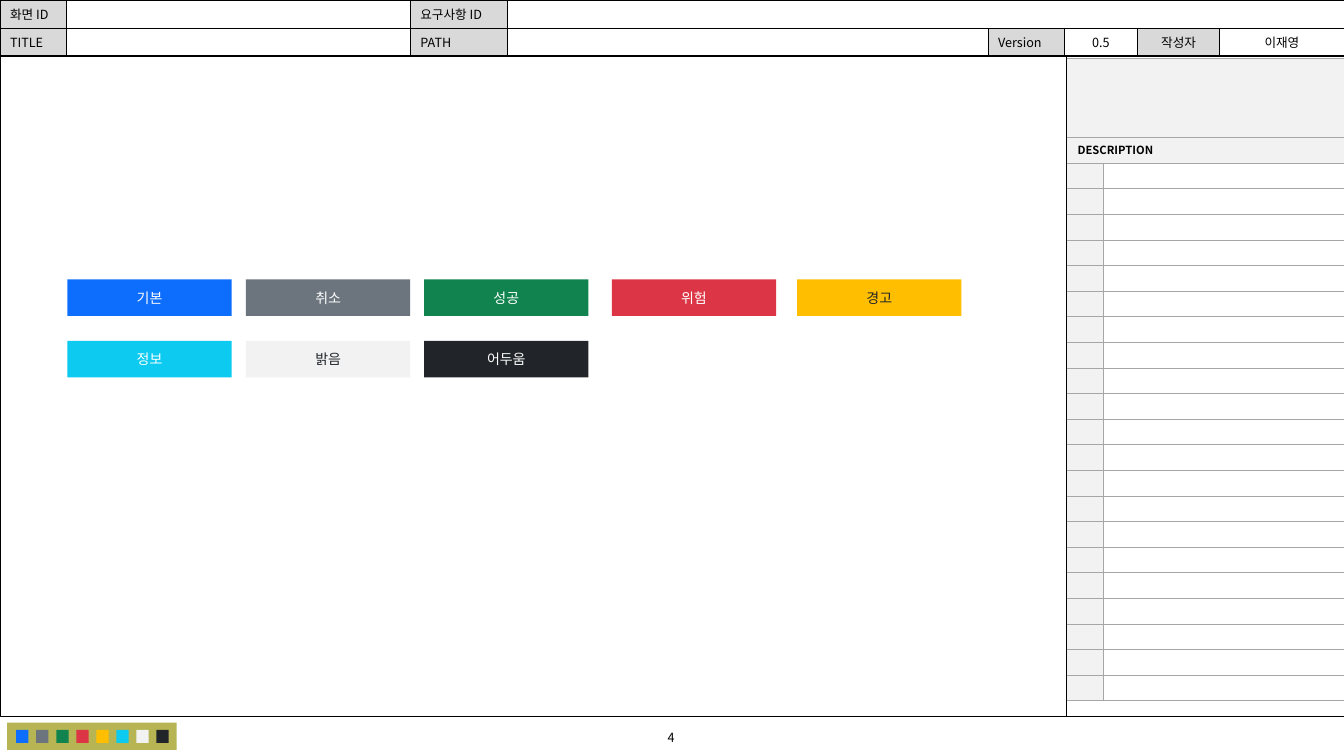
from dataclasses import dataclass
from typing import Optional

from lxml import etree
from pptx import Presentation
from pptx.dml.color import RGBColor
from pptx.enum import shapes, text
from pptx.oxml import ns
from pptx.util import Cm, Pt

FONT = "Noto Sans CJK KR"
BLACK = RGBColor(0x00, 0x00, 0x00)
WHITE = RGBColor(0xFF, 0xFF, 0xFF)
LABEL_GRAY = RGBColor(0xD9, 0xD9, 0xD9)
RULE_GRAY = RGBColor(0xA6, 0xA6, 0xA6)
LIGHT = RGBColor(0xF2, 0xF2, 0xF2)
DARK = RGBColor(0x21, 0x25, 0x29)
BLUE = RGBColor(0x0D, 0x6E, 0xFD)
SLATE = RGBColor(0x6C, 0x75, 0x7D)
GREEN = RGBColor(0x10, 0x83, 0x4E)
RED = RGBColor(0xDC, 0x35, 0x45)
AMBER = RGBColor(0xFF, 0xBE, 0x00)
CYAN = RGBColor(0x0D, 0xCA, 0xF0)
OLIVE = RGBColor(0xB7, 0xB5, 0x53)

PAGE_WIDTH, PAGE_HEIGHT = 33.87, 19.05
FRAME_TOP, FRAME_BOTTOM = 1.4, 18.06
DIVIDER_LEFT = 26.87


@dataclass(frozen=True)
class Button:
    label: str
    fill: RGBColor
    color: RGBColor = WHITE


@dataclass(frozen=True)
class HeaderCell:
    label: str
    shaded: bool = False
    centered: bool = False


BUTTONS = [
    Button("기본", BLUE), Button("취소", SLATE), Button("성공", GREEN),
    Button("위험", RED), Button("경고", AMBER, DARK), Button("정보", CYAN),
    Button("밝음", LIGHT, DARK), Button("어두움", DARK),
]
BUTTON_LEFTS = [1.7, 6.2, 10.69, 15.42, 20.09]

HEADER_WIDTHS = [1.68, 8.66, 2.44, 12.12, 1.93, 1.83, 2.08, 3.13]
HEADER_ROWS = [
    [HeaderCell("화면 ID", True), HeaderCell(""), HeaderCell("요구사항 ID", True)]
    + [HeaderCell("")] * 5,
    [HeaderCell("TITLE", True), HeaderCell(""), HeaderCell("PATH", True), HeaderCell(""),
     HeaderCell("Version", True), HeaderCell("0.5", centered=True),
     HeaderCell("작성자", True, True), HeaderCell("이재영", centered=True)],
]

DESCRIPTION_ITEMS = 21


def write(frame, content: str, *, size: float, color: RGBColor = BLACK,
          bold: bool = False, centered: bool = False) -> None:
    """Fill a text frame; an empty one only gets its line height."""
    para = frame.paragraphs[0]
    if centered:
        para.alignment = text.PP_ALIGN.CENTER
    if not content:
        end = etree.SubElement(para._p, ns.qn("a:endParaRPr"))
        end.set("sz", str(int(size * 100)))
        return
    span = para.add_run()
    span.text = content
    font = span.font
    font.name, font.size, font.bold = FONT, Pt(size), bold
    font.color.rgb = color
    etree.SubElement(span._r.get_or_add_rPr(), ns.qn("a:ea")).set("typeface", FONT)


def add_rect(page, left: float, top: float, width: float, height: float,
             fill: Optional[RGBColor] = None, line: Optional[RGBColor] = None):
    box = page.shapes.add_shape(shapes.MSO_SHAPE.RECTANGLE,
                                Cm(left), Cm(top), Cm(width), Cm(height))
    box.shadow.inherit = False
    if fill is None:
        box.fill.background()
    else:
        box.fill.solid()
        box.fill.fore_color.rgb = fill
    if line is None:
        box.line.fill.background()
    else:
        box.line.color.rgb = line
        box.line.width = Pt(0.25)
    return box


def format_cell(cell, fill: RGBColor, rule: RGBColor, sides: str) -> None:
    """Rule the named sides (from L, R, T, B), clear the others and fill the cell."""
    properties = cell._tc.get_or_add_tcPr()
    for side in "LRTB":
        border = etree.SubElement(properties, ns.qn(f"a:ln{side}"), w=str(int(Pt(0.5))))
        if side in sides:
            paint = etree.SubElement(border, ns.qn("a:solidFill"))
            etree.SubElement(paint, ns.qn("a:srgbClr"), val=str(rule))
        else:
            etree.SubElement(border, ns.qn("a:noFill"))
    cell.fill.solid()
    cell.fill.fore_color.rgb = fill
    cell.vertical_anchor = text.MSO_ANCHOR.MIDDLE
    cell.margin_top = cell.margin_bottom = 0


def add_grid(page, left: float, top: float, widths: list[float], heights: list[float]):
    grid = page.shapes.add_table(len(heights), len(widths), Cm(left), Cm(top),
                                 Cm(sum(widths)), Cm(sum(heights))).table
    grid.first_row = grid.horz_banding = False
    for column, width in zip(grid.columns, widths):
        column.width = Cm(width)
    for row, height in zip(grid.rows, heights):
        row.height = Cm(height)
    return grid


def add_header(page) -> None:
    grid = add_grid(page, 0, 0, HEADER_WIDTHS, [0.71, 0.71])
    for r, row in enumerate(HEADER_ROWS):
        for c, item in enumerate(row):
            cell = grid.cell(r, c)
            format_cell(cell, LABEL_GRAY if item.shaded else WHITE, BLACK, "LRTB")
            write(cell.text_frame, item.label, size=9, centered=item.centered)
    grid.cell(0, 3).merge(grid.cell(0, 7))


def add_frame(page) -> None:
    add_rect(page, 0, FRAME_TOP, PAGE_WIDTH, FRAME_BOTTOM - FRAME_TOP, line=BLACK)
    divider = page.shapes.add_connector(shapes.MSO_CONNECTOR.STRAIGHT, Cm(DIVIDER_LEFT),
                                        Cm(FRAME_TOP), Cm(DIVIDER_LEFT), Cm(FRAME_BOTTOM))
    divider.line.color.rgb = BLACK
    divider.line.width = Pt(0.5)
    etree.SubElement(divider._element.spPr, ns.qn("a:effectLst"))


def add_page_number(page) -> None:
    box = page.shapes.add_textbox(Cm(13.64), Cm(18.26), Cm(6.55), Cm(0.64))
    box.text_frame.word_wrap = True
    write(box.text_frame, "4", size=9, centered=True)


def add_palette(page) -> None:
    add_rect(page, 0.18, 18.21, 4.27, 0.69, OLIVE)
    first, last = 0.41, 3.94
    pitch = (last - first) / (len(BUTTONS) - 1)
    for i, button in enumerate(BUTTONS):
        add_rect(page, first + i * pitch, 18.39, 0.31, 0.33, button.fill)


def add_description(page) -> None:
    heights = [1.98, 0.66] + [13.56 / DESCRIPTION_ITEMS] * DESCRIPTION_ITEMS
    grid = add_grid(page, 26.9, 1.47, [0.9, 6.07], heights)
    for r in range(len(heights)):
        is_item = r >= 2
        for c in range(2):
            cell = grid.cell(r, c)
            sides = "TB" + ("RL"[c] if is_item else "")
            format_cell(cell, WHITE if is_item and c else LIGHT, RULE_GRAY, sides)
            write(cell.text_frame, "DESCRIPTION" if (r, c) == (1, 0) else "",
                  size=8, bold=True)
        if not is_item:
            grid.cell(r, 0).merge(grid.cell(r, 1))


def add_buttons(page) -> None:
    for i, button in enumerate(BUTTONS):
        row, column = divmod(i, len(BUTTON_LEFTS))
        box = add_rect(page, BUTTON_LEFTS[column], 7.04 + row * 1.55, 4.14, 0.92, button.fill)
        box.text_frame.vertical_anchor = text.MSO_ANCHOR.MIDDLE
        write(box.text_frame, button.label, size=10, color=button.color, centered=True)


def main() -> None:
    deck = Presentation()
    deck.slide_width, deck.slide_height = Cm(PAGE_WIDTH), Cm(PAGE_HEIGHT)
    page = deck.slides.add_slide(deck.slide_layouts[6])
    add_header(page)
    add_frame(page)
    add_page_number(page)
    add_palette(page)
    add_description(page)
    add_buttons(page)
    deck.save("out.pptx")


if __name__ == "__main__":
    main()
